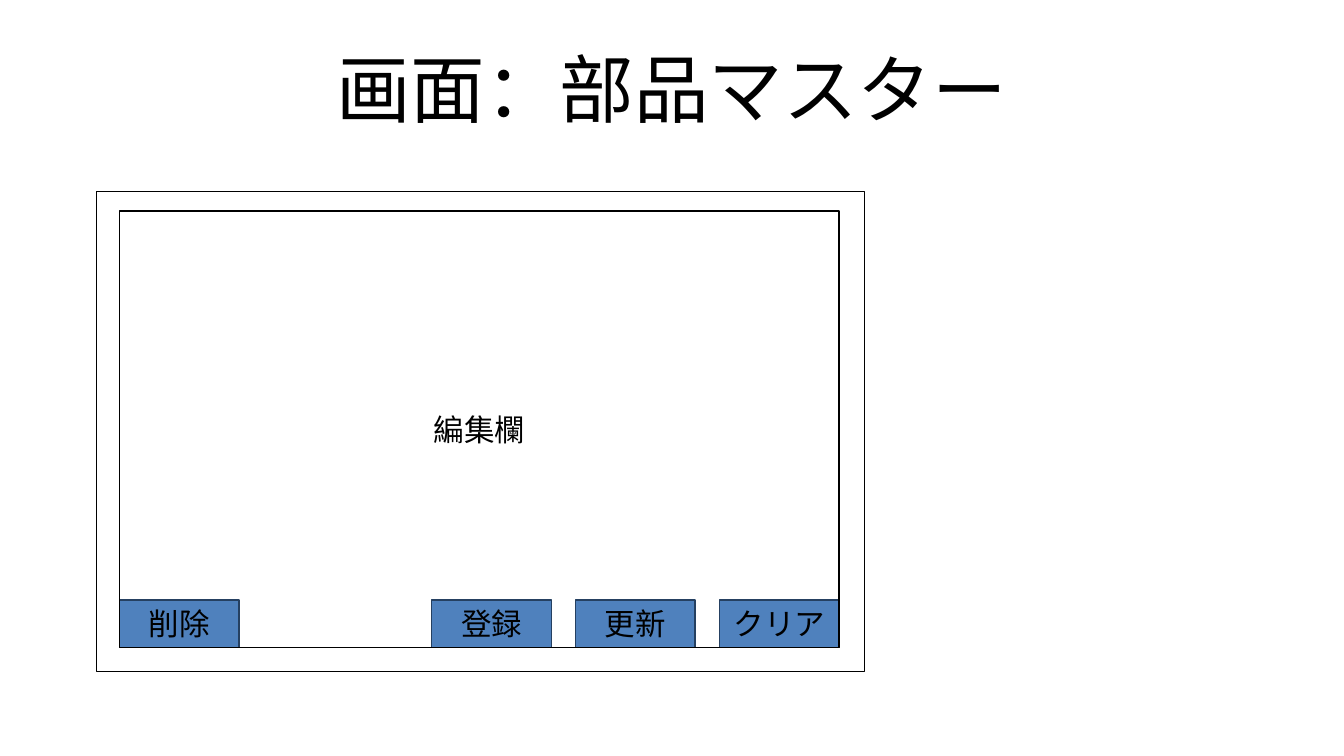
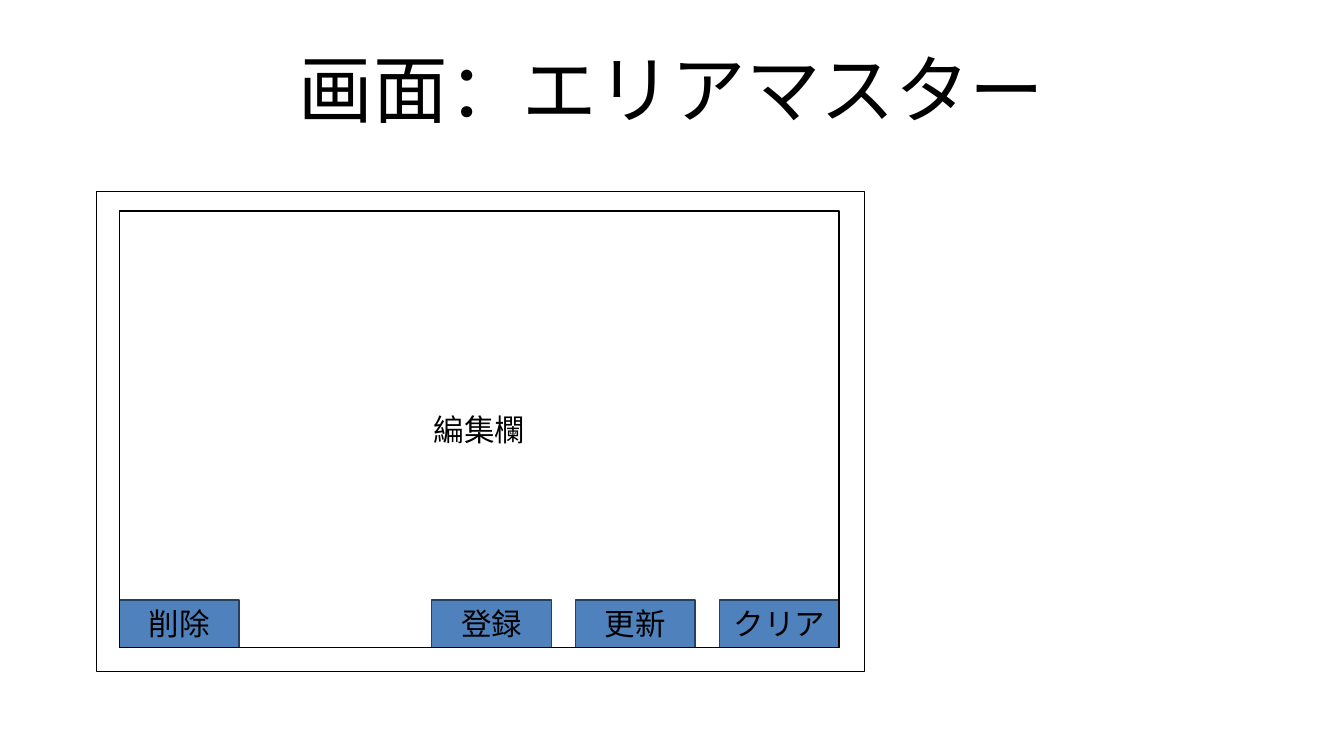
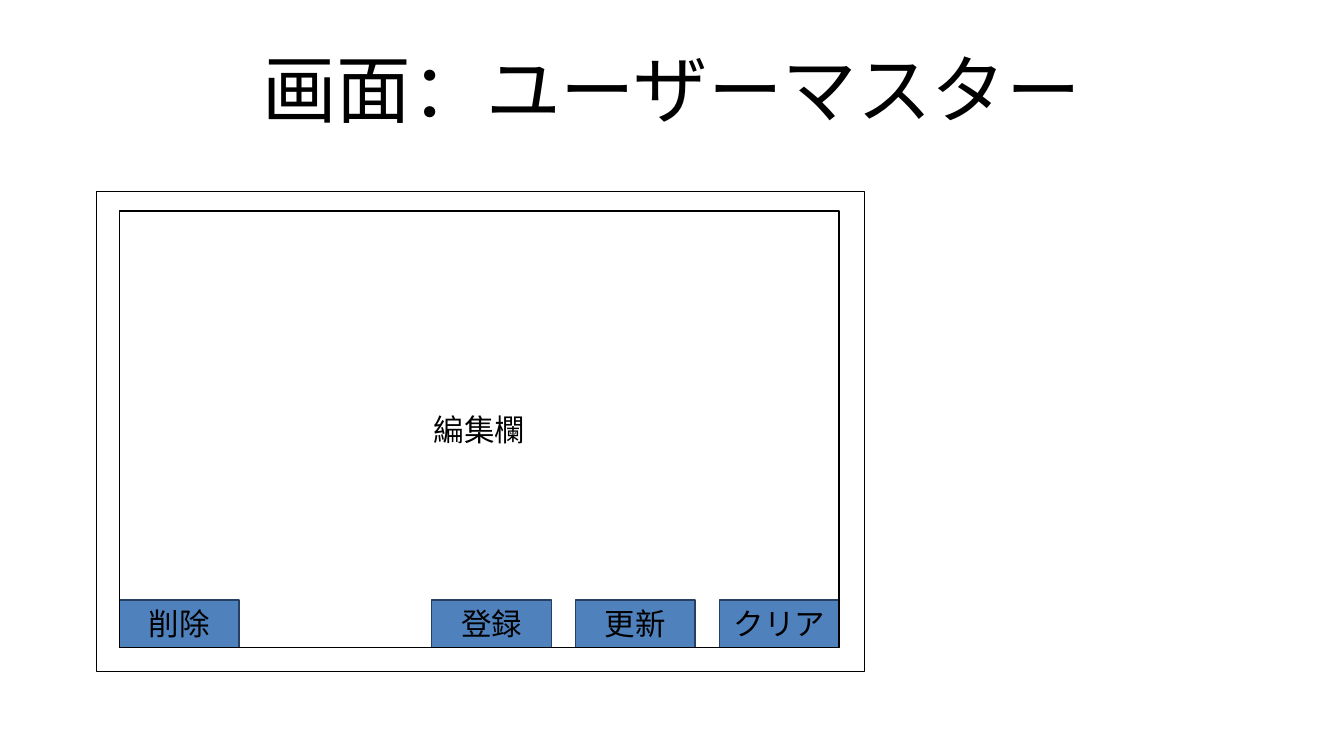
from pptx import Presentation
from pptx import util as u
from pptx.dml.color import RGBColor
from pptx.enum import shapes, text

BLACK = RGBColor(0x00, 0x00, 0x00)
BLUE = RGBColor(0x4F, 0x81, 0xBD)
NAVY = RGBColor(0x25, 0x40, 0x61)
FONT = "Arial"

TITLES = ["画面：部品マスター", "画面：エリアマスター", "画面：ユーザーマスター"]

# Edit area, and the buttons along its bottom edge
LEFT, TOP, WIDTH, HEIGHT = 0.98, 1.73, 5.9, 3.58
WIDE, HIGH, STEP = 0.98, 0.39, 1.18


class Deck:
    def __init__(self):
        self.prs = Presentation()
        self.prs.slide_width = u.Inches(11.02)
        self.prs.slide_height = u.Inches(6.2)
        self.slide = None

    def label(self, shape, words, size):
        frame = shape.text_frame
        frame.text = words
        frame.word_wrap = True
        frame.auto_size = text.MSO_AUTO_SIZE.NONE
        frame.vertical_anchor = text.MSO_ANCHOR.MIDDLE
        para = frame.paragraphs[0]
        para.alignment = text.PP_ALIGN.CENTER
        font = para.runs[0].font
        font.name = FONT
        font.size = u.Pt(size)
        font.color.rgb = BLACK

    def page(self, title):
        self.slide = self.prs.slides.add_slide(self.prs.slide_layouts[5])
        head = self.slide.shapes.title
        head.left, head.top = u.Inches(0.55), u.Inches(0.25)
        head.width, head.height = u.Inches(9.92), u.Inches(1.03)
        self.label(head, title, 44)
        frame = head.text_frame
        frame.margin_left = frame.margin_right = 0
        frame.margin_top = frame.margin_bottom = 0
        frame.paragraphs[0].line_spacing = 0.9

    def box(self, left, top, width, height, words="", fill=None, line=BLACK):
        rect = self.slide.shapes.add_shape(
            shapes.MSO_SHAPE.RECTANGLE,
            u.Inches(left), u.Inches(top), u.Inches(width), u.Inches(height))
        rect.shadow.inherit = False
        if fill is None:
            rect.fill.background()
        else:
            rect.fill.solid()
            rect.fill.fore_color.rgb = fill
        rect.line.color.rgb = line
        rect.line.width = u.Pt(0)
        if words:
            self.label(rect, words, 18)

    def button(self, left, words):
        self.box(left, TOP + HEIGHT - HIGH, WIDE, HIGH, words, BLUE, NAVY)

    def screen(self):
        """Draw the window frame, its buttons and the edit area."""
        self.box(0.79, 1.57, 6.3, 3.94)
        self.button(LEFT, "削除")
        last = LEFT + WIDTH - WIDE
        for back, words in enumerate(["クリア", "更新", "登録"]):
            self.button(last - back * STEP, words)
        self.box(LEFT, TOP, WIDTH, HEIGHT, "編集欄")


def main():
    deck = Deck()
    for title in TITLES:
        deck.page(title)
        deck.screen()
    deck.prs.save("out.pptx")


if __name__ == "__main__":
    main()
